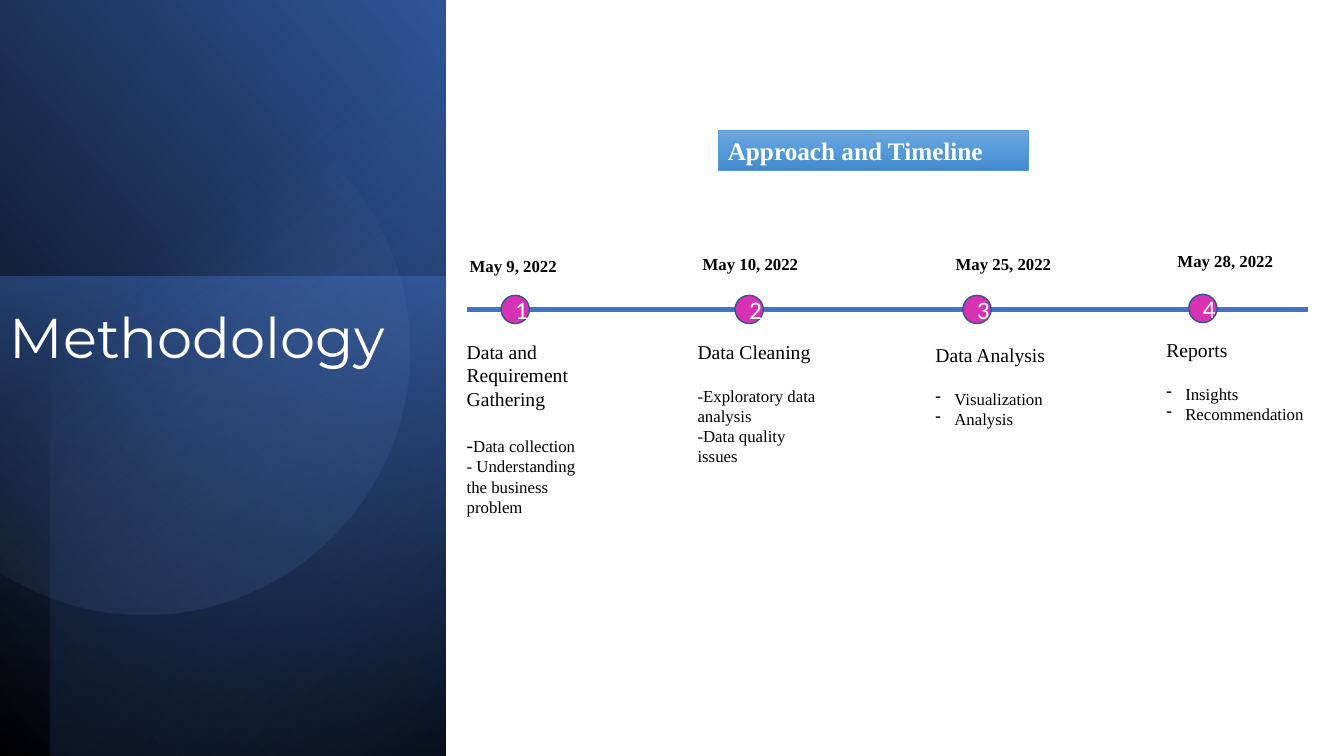
from math import atan2, cos, pi, sin

from lxml import etree
from pptx import Presentation
from pptx.dml.color import RGBColor
from pptx.enum.shapes import MSO_CONNECTOR, MSO_SHAPE
from pptx.enum.text import MSO_ANCHOR, PP_ALIGN
from pptx.oxml.ns import qn
from pptx.util import Inches, Pt

RECT, OVAL = MSO_SHAPE.RECTANGLE, MSO_SHAPE.OVAL
LINE = MSO_CONNECTOR.STRAIGHT
LEFT, MID = PP_ALIGN.LEFT, PP_ALIGN.CENTER
TOP, CENTER = MSO_ANCHOR.TOP, MSO_ANCHOR.MIDDLE
CELL = 0.1  # inches per grid column and row


def grid(*cells):
    return [Inches(n * CELL) for n in cells]


def hue(code):
    return RGBColor.from_string(code)


class Deck:
    serif, sans, head = "Times New Roman", "Calibri", "Montserrat"
    white, black, blue = "FFFFFF", "000000", "4472C4"

    def __init__(self, wide, high):
        self.file = Presentation()
        self.file.slide_width, self.file.slide_height = grid(wide, high)
        self.slide = self.file.slides.add_slide(self.file.slide_layouts[6])
        self.shapes = self.slide.shapes

    def blend(self, shape, stops, angle):
        """Fill with (position, colour, opacity) stops."""
        shape.fill.background()
        grad = etree.Element(qn("a:gradFill"), rotWithShape="1")
        row = etree.SubElement(grad, qn("a:gsLst"))
        for pos, code, alpha in stops:
            stop = etree.SubElement(row, qn("a:gs"), pos=str(pos * 1000))
            tint = etree.SubElement(stop, qn("a:srgbClr"), val=str(hue(code)))
            if alpha < 100:
                etree.SubElement(tint, qn("a:alpha"), val=str(alpha * 1000))
        etree.SubElement(grad, qn("a:lin"), ang=str(angle * 60000), scaled="0")
        props = shape._element.spPr
        props.replace(props.find(qn("a:noFill")), grad)

    def edge(self, shape, code=None, width=1):
        shape.shadow.inherit = False
        if code:
            shape.line.color.rgb = hue(code)
            shape.line.width = Pt(width)
        else:
            shape.line.fill.background()

    def panel(self, box, turn, flip, stops, angle):
        """Turned on its side; box is the area before the turn."""
        shape = self.shapes.add_shape(RECT, *grid(*box))
        shape.rotation = turn
        if flip:
            shape._element.spPr.xfrm.set("flipH", "1")
        self.edge(shape)
        self.blend(shape, stops, angle)

    def disc(self, x, y, r, stops, angle):
        """Circle cut off at the slide's left side."""
        end, parts = atan2((r * r - x * x) ** 0.5, -x), 90
        turns = [end * (2 * i / parts - 1) for i in range(parts + 1)]
        dots = [grid(max(0, x + r * cos(t)), y + r * sin(t)) for t in turns]
        path = self.shapes.build_freeform(*dots[0])
        path.add_line_segments(dots[1:], close=True)
        shape = path.convert_to_shape()
        self.edge(shape)
        self.blend(shape, stops, angle)

    def line(self, x1, y1, x2, y2, code, width):
        line = self.shapes.add_connector(LINE, *grid(x1, y1, x2, y2))
        line.line.color.rgb = hue(code)
        line.line.width = Pt(width)
        etree.SubElement(line._element.spPr, qn("a:effectLst"))

    def run(self, para, text, size, font, code, bold=False):
        run = para.add_run()
        run.text = text
        run.font.size, run.font.name = Pt(size), font
        run.font.bold, run.font.color.rgb = bold, hue(code)

    def text(self, box, text, size, font, code, bold=False):
        frame = self.shapes.add_textbox(*grid(*box)).text_frame
        frame.word_wrap = True
        self.run(frame.paragraphs[0], text, size, font, code, bold)
        return frame

    def label(self, kind, box, text, font, align, anchor, bold=False):
        shape = self.shapes.add_shape(kind, *grid(*box))
        frame = shape.text_frame
        frame.vertical_anchor = anchor
        frame.paragraphs[0].alignment = align
        self.run(frame.paragraphs[0], text, 18, font, self.white, bold)
        return shape

    def dash(self, para):
        props = para._p.get_or_add_pPr()
        props.set("marL", "171450")
        props.set("indent", "-171450")
        etree.SubElement(props, qn("a:buFontTx"))
        etree.SubElement(props, qn("a:buChar"), char="-")

    def step(self, box, name, items, dashed):
        frame = self.text(box, name, 14, self.serif, self.black)
        for i, runs in enumerate(items):
            para = frame.add_paragraph()
            if dashed:
                self.dash(para)
            if i == 0:
                para.space_before = Pt(16)
            for text, size in runs:
                self.run(para, text, size, self.serif, self.black)


def main():
    deck = Deck(133.3, 75)

    # Blue side panel
    deck.panel((-15.5, 15.5, 75.2, 44.2), 90, True,
               [(0, "000000", 100), (100, "2F5597", 100)], 310)
    deck.panel((-1.7, 29.1, 47.6, 44.2), 270, False,
               [(0, deck.blue, 50), (100, "203864", 0)], 190)
    deck.panel((-12.9, 17.9, 75, 39.2), 270, True,
               [(0, "000000", 59), (69, deck.blue, 0)], 220)
    deck.disc(14.3, 34.7, 26.3,
              [(39, "8FAADC", 0), (100, "2F5597", 26)], 52)
    title = deck.text((0, 30.3, 43, 16.4), "Methodology", 40, deck.head,
                      deck.white)
    title.paragraphs[0].line_spacing = 0.9

    # Heading
    banner = deck.label(RECT, (71.2, 12.9, 30.8, 4), "Approach and Timeline",
                        deck.serif, LEFT, TOP, True)
    deck.edge(banner, "5B9BD5", 0.5)
    deck.blend(banner, [(0, "71A6DB", 100), (50, "559BDB", 100),
                        (100, "448ACA", 100)], 90)

    # Timeline: dot, date and text places, date, name, items, dashed
    deck.line(46.3, 30.7, 129.7, 30.7, deck.blue, 3)
    steps = [
        ((49.7, 29.3), (45.6, 24.9), (45.3, 33.2, 15.1, 22.9),
         "May 9, 2022", "Data and Requirement Gathering",
         [[("-", 14), ("Data collection", 12)],
          [("- Understanding the business problem", 12)]], False),
        ((72.9, 29.3), (68.7, 24.7), (68.2, 33.2, 15.1, 16.5),
         "May 10, 2022", "Data Cleaning",
         [[("-Exploratory data analysis", 12)],
          [("-Data quality issues", 12)]], False),
        ((95.5, 29.3), (93.8, 24.7), (91.8, 33.5, 15.1, 14.5),
         "May 25, 2022", "Data Analysis",
         [[("Visualization", 12)], [("Analysis", 12)]], True),
        ((117.9, 29.2), (115.8, 24.4), (114.7, 33, 16.7, 14.5),
         "May 28, 2022", "Reports",
         [[("Insights", 12)], [("Recommendation", 12)]], True),
    ]
    for i, (dot, day, box, date, name, items, dashed) in enumerate(steps, 1):
        ball = deck.label(OVAL, (*dot, 2.8, 2.8), str(i), deck.sans, MID,
                          CENTER)
        ball.fill.solid()
        ball.fill.fore_color.rgb = hue("D632B3")
        deck.edge(ball, "325491")
        deck.text((*day, 14.6, 3), date, 12, deck.serif, deck.black, True)
        deck.step(box, name, items, dashed)

    deck.file.save("out.pptx")


if __name__ == "__main__":
    main()
